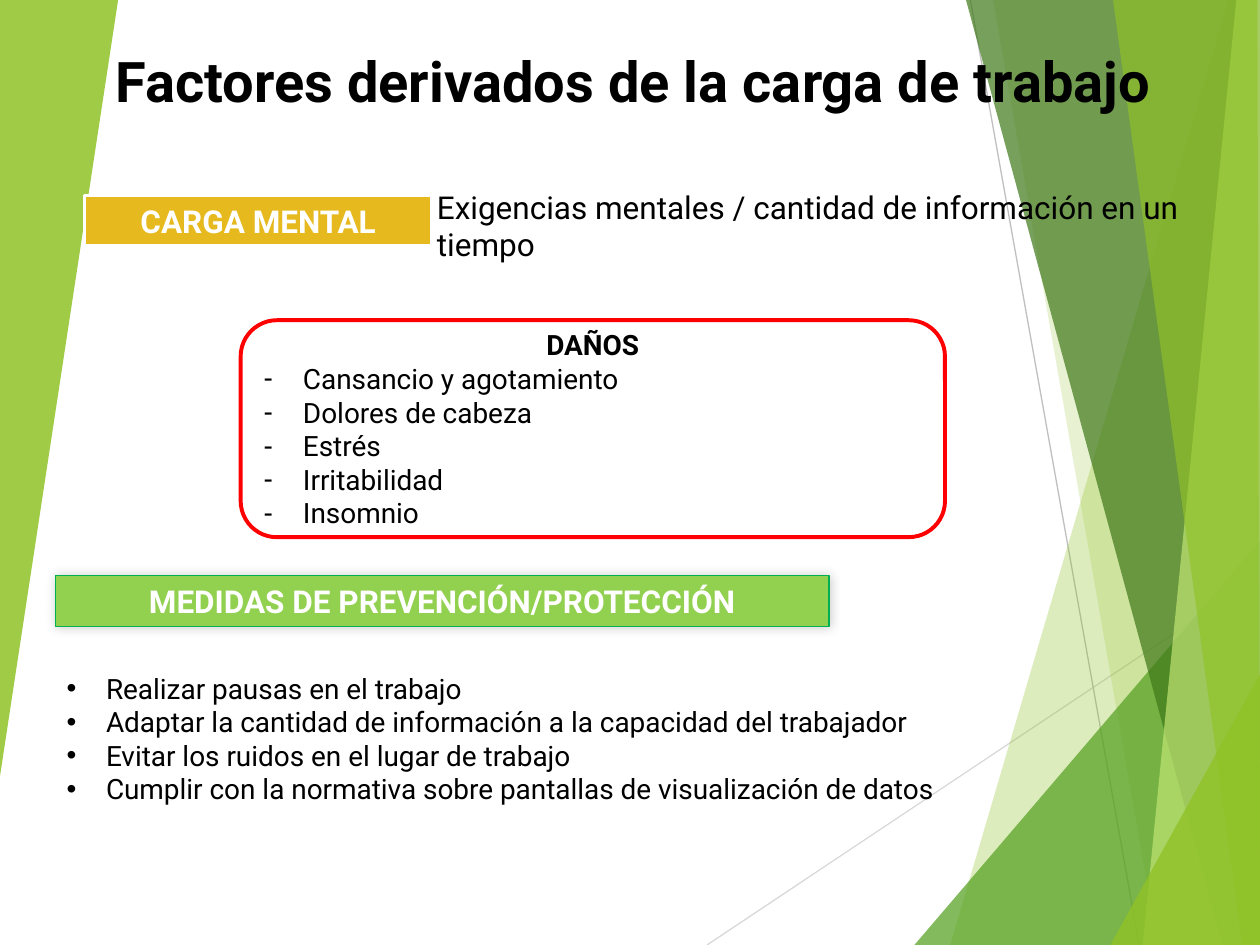
import pptx
import pptx.dml.color
import pptx.enum.dml
import pptx.enum.shapes
import pptx.enum.text
import pptx.oxml
import pptx.oxml.ns
import pptx.util
from lxml import etree

Pt = pptx.util.Pt
RGBColor = pptx.dml.color.RGBColor
ALIGN = pptx.enum.text.PP_ALIGN
ANCHOR = pptx.enum.text.MSO_ANCHOR
SHAPE = pptx.enum.shapes.MSO_SHAPE
qn = pptx.oxml.ns.qn

BLACK = RGBColor(0x00, 0x00, 0x00)
WHITE = RGBColor(0xFF, 0xFF, 0xFF)
RED = RGBColor(0xFF, 0x00, 0x00)
GOLD = RGBColor(0xE6, 0xB9, 0x1E)
LIME = RGBColor(0x90, 0xC2, 0x26)
PALE_LIME = RGBColor(0xC0, 0xE4, 0x74)
LEAF = RGBColor(0x54, 0xA0, 0x21)
FOREST = RGBColor(0x3F, 0x78, 0x19)
BANNER_GREEN = RGBColor(0x92, 0xD0, 0x50)
BORDER_GREEN = RGBColor(0x00, 0xB0, 0x50)
LIGHT_GREY = RGBColor(0xD9, 0xD9, 0xD9)
GREY = RGBColor(0xBF, 0xBF, 0xBF)
FONT = "Roboto"
WIDTH, HEIGHT = 720, 540


def write(shape, lines, size, color=BLACK, bold=False, align=ALIGN.LEFT, bullet=None, anchor=ANCHOR.TOP):
    frame = shape.text_frame
    frame.word_wrap = True
    frame.vertical_anchor = anchor
    for index, line in enumerate(lines):
        paragraph = frame.paragraphs[0] if index == 0 and not frame.text else frame.add_paragraph()
        paragraph.text = line
        paragraph.alignment = align
        if bullet:
            properties = paragraph._p.get_or_add_pPr()
            properties.set("marL", str(Pt(22.5)))
            properties.set("indent", str(-Pt(22.5)))
            etree.SubElement(properties, qn("a:buFont"), typeface="Arial")
            etree.SubElement(properties, qn("a:buChar"), char=bullet)
        paragraph.font.name = FONT
        paragraph.font.size = Pt(size)
        paragraph.font.bold = bold
        paragraph.font.color.rgb = color


def add_box(kind, left, top, width, height, fill, line, line_width):
    shape = slide.shapes.add_shape(kind, Pt(left), Pt(top), Pt(width), Pt(height))
    shape.shadow.inherit = False
    if fill is None:
        shape.fill.background()
    else:
        shape.fill.solid()
        shape.fill.fore_color.rgb = fill
    shape.line.color.rgb = line
    shape.line.width = Pt(line_width)
    return shape


presentation = pptx.Presentation()
presentation.slide_width = Pt(WIDTH)
presentation.slide_height = Pt(HEIGHT)
slide = presentation.slides.add_slide(presentation.slide_layouts[6])

for start_x, start_y, end_x, end_y, color in [
    (404, HEIGHT, WIDTH, 329.3, LIGHT_GREY),
    (554.5, 0, 651, HEIGHT, GREY),
]:
    connector = slide.shapes.add_connector(
        pptx.enum.shapes.MSO_CONNECTOR.STRAIGHT, Pt(start_x), Pt(start_y), Pt(end_x), Pt(end_y)
    )
    connector.line.color.rgb = color
    connector.line.width = Pt(0.75)
    etree.SubElement(connector._element.spPr, qn("a:effectLst"))

bottom_right = (WIDTH, HEIGHT)
top_right = (WIDTH, 0)
facets = [
    ([(702, 0), (543, HEIGHT), bottom_right, top_right], LIME, 30),
    ([(567.5, 0), (661.5, HEIGHT), bottom_right, top_right], LIME, 20),
    ([(522.5, HEIGHT), (WIDTH, 309), bottom_right], LEAF, 72),
    ([(552, 0), (698.5, HEIGHT), bottom_right, top_right], FOREST, 70),
    ([(706.5, 0), (653, HEIGHT), bottom_right, top_right], PALE_LIME, 70),
    ([(636, 0), (710, HEIGHT), bottom_right, (718.5, 0)], LIME, 65),
    ([(634.5, HEIGHT), (WIDTH, 385.5), bottom_right], LIME, 80),
    ([(0, 0), (67.5, 0), (0, 443.5)], LIME, 85),
]
for points, color, opacity in facets:
    corners = [(Pt(x), Pt(y)) for x, y in points]
    builder = slide.shapes.build_freeform(*corners[0])
    builder.add_line_segments(corners[1:], close=True)
    facet = builder.convert_to_shape()
    facet.shadow.inherit = False
    facet.fill.solid()
    facet.fill.fore_color.rgb = color
    facet.line.fill.background()
    fill_color = facet._element.spPr.find(qn("a:solidFill"))[0]
    etree.SubElement(fill_color, qn("a:alpha"), val=str(opacity * 1000))

title = slide.shapes.add_textbox(Pt(5), Pt(13.7), Pt(714), Pt(64))
write(title, ["Factores derivados de la carga de trabajo"], 32,
      bold=True, align=ALIGN.CENTER, anchor=ANCHOR.MIDDLE)

banner = add_box(SHAPE.RECTANGLE, 31.7, 329, 442, 29, BANNER_GREEN, BORDER_GREEN, 0.75)
write(banner, ["MEDIDAS DE PREVENCIÓN/PROTECCIÓN"], 18, WHITE, True, ALIGN.CENTER)
effects = banner._element.spPr.find(qn("a:effectLst"))
shadow = etree.SubElement(effects, qn("a:outerShdw"), blurRad=str(Pt(6)), dist="0",
                          dir=str(225 * 60000), rotWithShape="0")
shadow_color = etree.SubElement(shadow, qn("a:srgbClr"), val="000000")
etree.SubElement(shadow_color, qn("a:alpha"), val="20000")

damage = add_box(SHAPE.ROUNDED_RECTANGLE, 137.5, 183, 402.5, 124, None, RED, 2.25)
write(damage, ["DAÑOS"], 16, bold=True, align=ALIGN.CENTER, anchor=ANCHOR.MIDDLE)
write(damage, [
    "Cansancio y agotamiento",
    "Dolores de cabeza",
    "Estrés",
    "Irritabilidad",
    "Insomnio",
], 16, bullet="-", anchor=ANCHOR.MIDDLE)

measures = slide.shapes.add_textbox(Pt(31), Pt(380), Pt(615), Pt(85))
write(measures, [
    "Realizar pausas en el trabajo",
    "Adaptar la cantidad de información a la capacidad del trabajador",
    "Evitar los ruidos en el lugar de trabajo",
    "Cumplir con la normativa sobre pantallas de visualización de datos",
], 16, bullet="•")

label = add_box(SHAPE.RECTANGLE, 48.2, 111.6, 198.7, 29, GOLD, WHITE, 2)
write(label, ["CARGA MENTAL"], 18, WHITE, True, ALIGN.CENTER)

definition = slide.shapes.add_textbox(Pt(242.6), Pt(103.7), Pt(461.5), Pt(29))
write(definition, ["Exigencias mentales / cantidad de información en un tiempo"], 18)

presentation.save("out.pptx")
